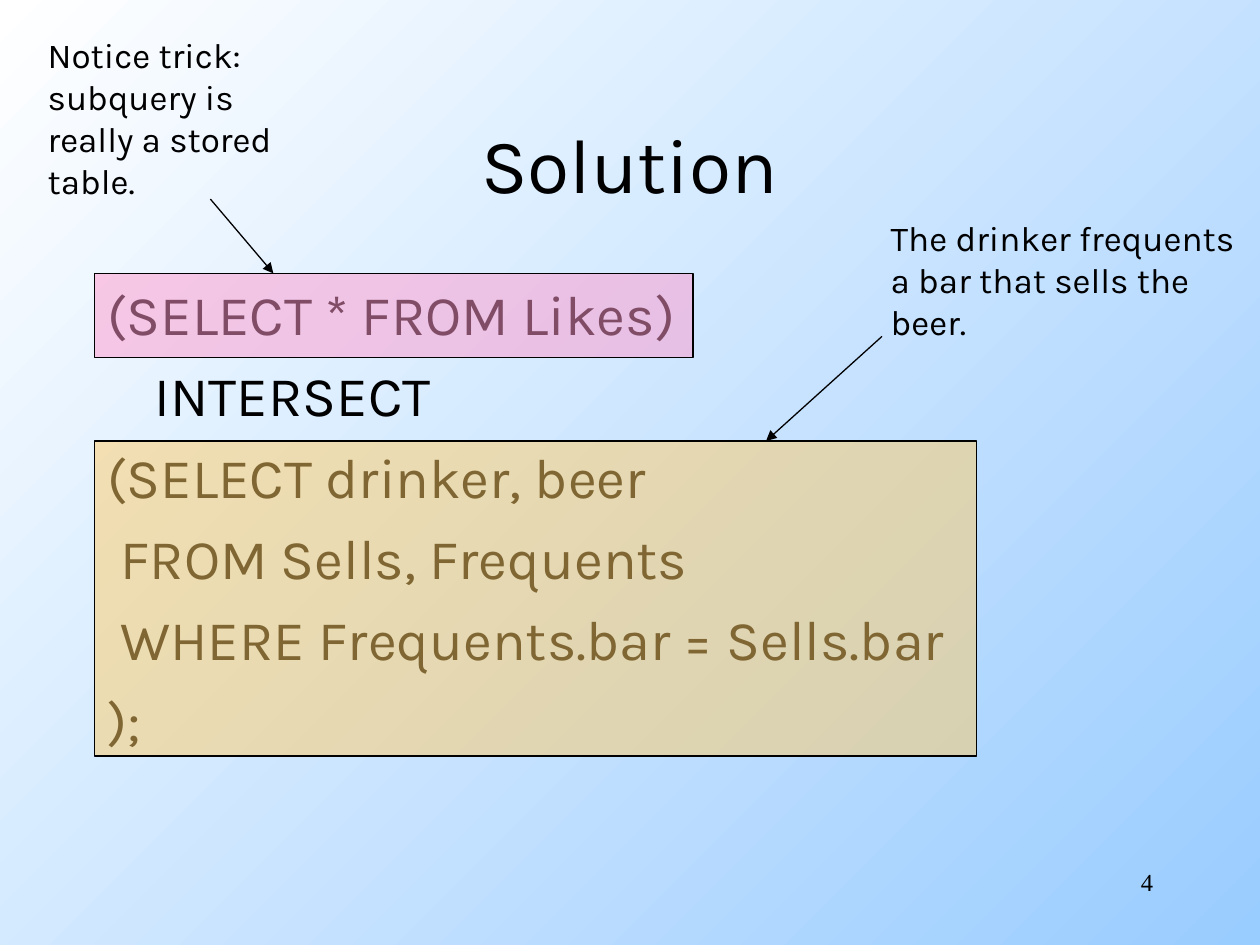
from dataclasses import dataclass

from lxml import etree
from pptx import Presentation
from pptx import util as u
from pptx.dml.color import RGBColor
from pptx.enum import shapes, text
from pptx.oxml.ns import qn


@dataclass(frozen=True)
class Theme:
    font: str = "Karla"
    number_font: str = "Times New Roman"
    ink: RGBColor = RGBColor(0, 0, 0)
    background: tuple = (RGBColor(0xFF, 0xFF, 0xFF), RGBColor(0x99, 0xCC, 0xFF))
    pink: RGBColor = RGBColor(0xFF, 0x99, 0xCC)
    amber: RGBColor = RGBColor(0xFF, 0xCC, 0x66)
    title_size: int = 44
    query_size: int = 32
    note_size: int = 20
    number_size: int = 14
    line_width: float = 0.75


THEME = Theme()
QUERY = [
    "(SELECT * FROM Likes)",
    "\tINTERSECT",
    "(SELECT drinker, beer",
    " FROM Sells, Frequents",
    " WHERE Frequents.bar = Sells.bar",
    ");",
]


def inches(*values):
    return [u.Inches(value) for value in values]


def place(shape, box):
    shape.left, shape.top, shape.width, shape.height = inches(*box)


def write(frame, lines, size, font=THEME.font, align=text.PP_ALIGN.LEFT):
    frame.text = "\n".join(lines)
    for paragraph in frame.paragraphs:
        paragraph.alignment = align
        paragraph.font.size = u.Pt(size)
        paragraph.font.name = font
        paragraph.font.color.rgb = THEME.ink


def set_background(slide):
    fill = slide.background.fill
    fill.gradient()
    fill.gradient_angle = 315
    for stop, color in zip(fill.gradient_stops, THEME.background):
        stop.color.rgb = color


def add_title(slide, title):
    shape = slide.shapes.title
    place(shape, (0.75, 0.67, 8.5, 1.25))
    write(shape.text_frame, [title], THEME.title_size, align=text.PP_ALIGN.CENTER)
    shape.text_frame.vertical_anchor = text.MSO_ANCHOR.MIDDLE
    shape.text_frame.auto_size = text.MSO_AUTO_SIZE.NONE


def add_query(slide, lines):
    shape = slide.placeholders[1]
    place(shape, (0.75, 2.17, 8.5, 4.5))
    frame = shape.text_frame
    frame.text = "\n".join(lines)
    for index, paragraph in enumerate(frame.paragraphs):
        paragraph.space_before = u.Pt(8 if index else 0)
        properties = paragraph._p.get_or_add_pPr()
        properties.set("marL", str(u.Inches(0.38)))
        properties.set("indent", str(u.Inches(-0.38)))
        etree.SubElement(properties, qn("a:buNone"))
        paragraph.font.size = u.Pt(THEME.query_size)
        paragraph.font.name = THEME.font
        paragraph.font.color.rgb = THEME.ink
    frame.auto_size = text.MSO_AUTO_SIZE.NONE


def add_highlight(group, box, color):
    shape = group.shapes.add_shape(shapes.MSO_SHAPE.RECTANGLE, *inches(*box))
    shape.shadow.inherit = False
    shape.fill.solid()
    shape.fill.fore_color.rgb = color
    color_element = shape._element.spPr.find(qn("a:solidFill"))[0]
    etree.SubElement(color_element, qn("a:alpha"), val="50000")
    shape.line.color.rgb = THEME.ink
    shape.line.width = u.Pt(THEME.line_width)


def add_note(group, box, lines):
    frame = group.shapes.add_textbox(*inches(*box)).text_frame
    write(frame, lines, THEME.note_size)
    frame.word_wrap = False
    frame.auto_size = text.MSO_AUTO_SIZE.SHAPE_TO_FIT_TEXT


def add_arrow(group, start, end):
    arrow = group.shapes.add_connector(
        shapes.MSO_CONNECTOR.STRAIGHT, *inches(*start, *end))
    arrow.line.color.rgb = THEME.ink
    arrow.line.width = u.Pt(THEME.line_width)
    etree.SubElement(arrow.line._get_or_add_ln(), qn("a:tailEnd"), type="triangle")
    etree.SubElement(arrow._element.spPr, qn("a:effectLst"))


def add_callout(slide, highlight, color, note, lines, start, end):
    group = slide.shapes.add_group_shape()
    add_highlight(group, highlight, color)
    add_note(group, note, lines)
    add_arrow(group, start, end)


def add_slide_number(slide, number):
    box = slide.shapes.add_textbox(*inches(7.17, 6.83, 2.08, 0.5))
    box.text_frame.word_wrap = True
    write(box.text_frame, [number], THEME.number_size, THEME.number_font,
          text.PP_ALIGN.RIGHT)


def main():
    presentation = Presentation()
    presentation.slide_width, presentation.slide_height = inches(10, 7.5)
    slide = presentation.slides.add_slide(presentation.slide_layouts[1])
    set_background(slide)
    add_title(slide, "Solution")
    add_query(slide, QUERY)
    add_slide_number(slide, "4")
    add_callout(slide, (0.75, 3.5, 7, 2.5), THEME.amber, (6.97, 1.67, 3.05, 1.1),
                ["The drinker frequents", "a bar that sells the", "beer."],
                (7, 2.67), (6.08, 3.5))
    add_callout(slide, (0.75, 2.17, 4.75, 0.67), THEME.pink, (0.28, 0.22, 2.06, 1.44),
                ["Notice trick:", "subquery is", "really a stored", "table."],
                (1.67, 1.58), (2.17, 2.17))
    presentation.save("out.pptx")


if __name__ == "__main__":
    main()
